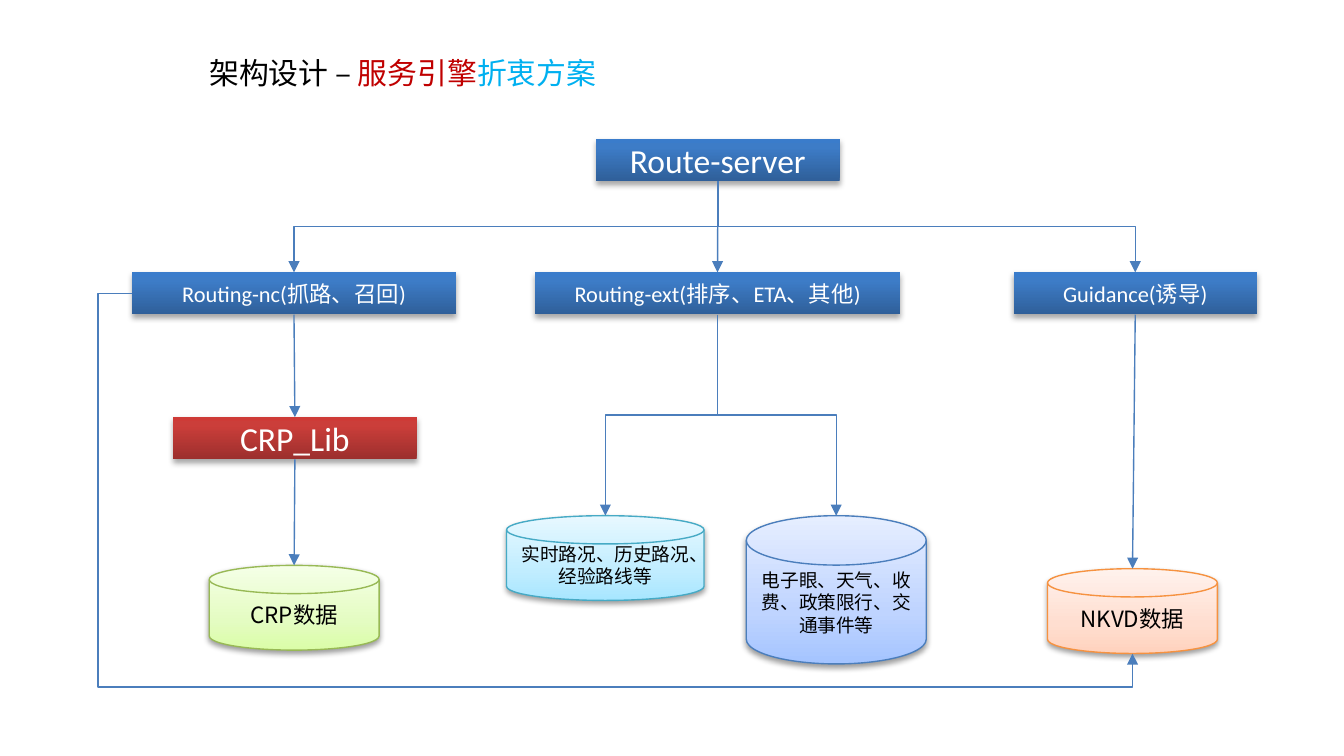
from dataclasses import dataclass

from lxml.etree import SubElement
from pptx import Presentation
from pptx.dml.color import RGBColor
from pptx.enum.shapes import MSO_CONNECTOR as Link, MSO_SHAPE as Preset
from pptx.enum.text import MSO_ANCHOR as Anchor, PP_ALIGN as Align
from pptx.oxml.ns import qn
from pptx.util import Pt


@dataclass(frozen=True)
class Theme:
    latin: str = "Calibri"
    chinese: str = "Noto Sans CJK SC"
    title_size: int = 16
    large: int = 18
    medium: int = 12
    small: int = 10
    black: str = "000000"
    white: str = "FFFFFF"
    red: str = "C00000"
    sky: str = "00B0F0"
    line: str = "4B7EBC"
    # Gradients run from the bottom of a shape to its top.
    blue_box: tuple = ((0, "2F5F99"), (80, "3D7CC7"), (100, "3A7CCB"))
    red_box: tuple = ((0, "9C2F2D"), (80, "CB3E3A"), (100, "CE3B37"))
    green_disk: tuple = ((0, "DAFDA7"), (35, "E4FCC2"), (100, "F5FFE7"))
    orange_disk: tuple = ((0, "FFD2BD"), (35, "FFDED0"), (100, "FFF2ED"))
    blue_disk: tuple = ((0, "A4C4FF"), (35, "BFD4FF"), (100, "E6EEFF"))
    cyan_disk: tuple = ((0, "A7E6FF"), (35, "C1EDFF"), (100, "E7F8FF"))
    green_edge: str = "98B955"
    orange_edge: str = "F69240"
    cyan_edge: str = "46AAC5"


def add_text(para, text, *, size, color, font, east_asian):
    span = para.add_run()
    span.text = text
    span.font.size = Pt(size)
    span.font.color.rgb = RGBColor.from_string(color)
    span.font.name = font
    SubElement(span.font._element, qn("a:ea"), typeface=east_asian)


def add_color(parent, color, tag="a:srgbClr"):
    return SubElement(parent, qn(tag), val=color)


def fill_gradient(shape, stops):
    shape.fill.gradient()
    shape.fill.gradient_angle = 90
    stop_list = shape.element.spPr.find(".//" + qn("a:gsLst"))
    for stop in list(stop_list):
        stop_list.remove(stop)
    for percent, color in stops:
        add_color(SubElement(stop_list, qn("a:gs"), pos=str(percent * 1000)), color)


def add_shadow(shape, opacity, distance):
    shape.shadow.inherit = False
    effects = shape.element.spPr.find(qn("a:effectLst"))
    shadow = SubElement(effects, qn("a:outerShdw"), blurRad=str(Pt(3.1)),
                        dist=str(Pt(distance)), dir="5400000", rotWithShape="0")
    add_color(add_color(shadow, "000000"), str(opacity * 1000), "a:alpha")


def top(shape):
    return shape.left + shape.width // 2, shape.top


def bottom(shape):
    return shape.left + shape.width // 2, shape.top + shape.height


class Diagram:
    def __init__(self, slide, theme):
        self.slide = slide
        self.theme = theme

    def title(self, parts, left, top, width, height):
        box = self.slide.shapes.title
        box.left, box.top, box.width, box.height = map(Pt, (left, top, width, height))
        box.text_frame.vertical_anchor = Anchor.MIDDLE
        para = box.text_frame.paragraphs[0]
        para.alignment = Align.LEFT
        for text, color in parts:
            add_text(para, text, size=self.theme.title_size, color=color,
                     font=self.theme.chinese, east_asian=self.theme.chinese)

    def _node(self, preset, text, center, top, width, height, stops, **style):
        shape = self.slide.shapes.add_shape(
            preset, Pt(center - width / 2), Pt(top), Pt(width), Pt(height))
        fill_gradient(shape, stops)
        frame = shape.text_frame
        frame.word_wrap = True
        frame.vertical_anchor = Anchor.MIDDLE
        para = frame.paragraphs[0]
        para.alignment = Align.CENTER
        add_text(para, text, east_asian=self.theme.chinese, **style)
        return shape

    def module(self, text, center, top, width, size, stops=None):
        shape = self._node(Preset.RECTANGLE, text, center, top, width, 22.6,
                           stops or self.theme.blue_box, size=size,
                           color=self.theme.white, font=self.theme.latin)
        shape.line.fill.background()
        add_shadow(shape, opacity=35, distance=1.8)
        return shape

    def store(self, text, center, top, width, height, size, stops, edge):
        shape = self._node(Preset.FLOWCHART_MAGNETIC_DISK, text, center, top, width,
                           height, stops, size=size, color=self.theme.black,
                           font=self.theme.chinese)
        shape.line.color.rgb = RGBColor.from_string(edge)
        shape.line.width = Pt(0.75)
        add_shadow(shape, opacity=38, distance=1.6)
        return shape

    def _connector(self, kind, begin, end):
        link = self.slide.shapes.add_connector(kind, *map(int, (*begin, *end)))
        link.line.color.rgb = RGBColor.from_string(self.theme.line)
        link.line.width = Pt(0.75)
        SubElement(link.line._get_or_add_ln(), qn("a:tailEnd"), type="triangle")
        SubElement(link.element.spPr, qn("a:effectLst"))
        return link

    def arrow(self, source, target):
        link = self._connector(Link.STRAIGHT, bottom(source), top(target))
        link.begin_connect(source, 2)
        if target.auto_shape_type == Preset.RECTANGLE:
            link.end_connect(target, 0)

    def branch(self, source, target):
        """Go down, across and down again: an elbow turned by a quarter."""
        (x1, y1), (x2, y2) = bottom(source), top(target)
        middle_x, middle_y = (x1 + x2) / 2, (y1 + y2) / 2
        half_run = (y2 - y1) / 2 * (1 if x2 < x1 else -1)
        half_span = abs(x2 - x1) / 2
        link = self._connector(Link.ELBOW,
                               (middle_x - half_run, middle_y - half_span),
                               (middle_x + half_run, middle_y + half_span))
        quarter_turns = 1 if x2 < x1 else 3
        link.element.spPr.find(qn("a:xfrm")).set("rot", str(quarter_turns * 5400000))

    def detour(self, source, target, lane_x, lane_y):
        """Leave on the left, pass below everything and enter from beneath."""
        x1, y1 = source.left, source.top + source.height // 2
        x2, y2 = bottom(target)
        link = self._connector(Link.ELBOW, (x1, y1), (x2, y2))
        geometry = link.element.spPr.find(qn("a:prstGeom"))
        geometry.set("prst", "bentConnector4")
        guides = geometry.find(qn("a:avLst"))
        ratios = (Pt(lane_x) - x1) / (x2 - x1), (Pt(lane_y) - y1) / (y2 - y1)
        for number, ratio in enumerate(ratios, 1):
            SubElement(guides, qn("a:gd"), name=f"adj{number}",
                       fmla=f"val {round(ratio * 100000)}")


def main():
    theme = Theme()
    deck = Presentation()
    deck.slide_width, deck.slide_height = Pt(720), Pt(405)
    page = Diagram(deck.slides.add_slide(deck.slide_layouts[5]), theme)

    page.title([("架构设计 – ", theme.black), ("服务引擎", theme.red),
                ("折衷方案", theme.sky)], 105, 16.6, 578, 44.6)

    service_top = 145.9
    server = page.module("Route-server", 384.6, 74.5, 130.4, theme.large)
    routing = page.module("Routing-nc(抓路、召回)", 157.5, service_top, 173.5, theme.medium)
    ranking = page.module("Routing-ext(排序、ETA、其他)", 384.4, service_top, 195.8,
                          theme.medium)
    guidance = page.module("Guidance(诱导)", 608.2, service_top, 130.4, theme.medium)
    library = page.module("CRP_Lib", 158, 223.5, 130.4, theme.large, theme.red_box)

    crp = page.store("CRP数据", 157.6, 302.9, 91, 45.4, theme.medium,
                     theme.green_disk, theme.green_edge)
    nkvd = page.store("NKVD数据", 606.7, 304.7, 91, 45.4, theme.medium,
                      theme.orange_disk, theme.orange_edge)
    events = page.store("电子眼、天气、收费、政策限行、交通事件等", 448, 276.3, 96.4, 79.4,
                        theme.small, theme.blue_disk, theme.line)
    traffic = page.store("实时路况、历史路况、经验路线等", 324.3, 276.3, 105.8, 45.4,
                         theme.small, theme.cyan_disk, theme.cyan_edge)

    for source, target in ((server, ranking), (routing, library),
                           (library, crp), (guidance, nkvd)):
        page.arrow(source, target)
    for source, target in ((server, routing), (server, guidance),
                           (ranking, events), (ranking, traffic)):
        page.branch(source, target)
    page.detour(routing, nkvd, lane_x=52.7, lane_y=368)

    deck.save("out.pptx")


if __name__ == "__main__":
    main()
